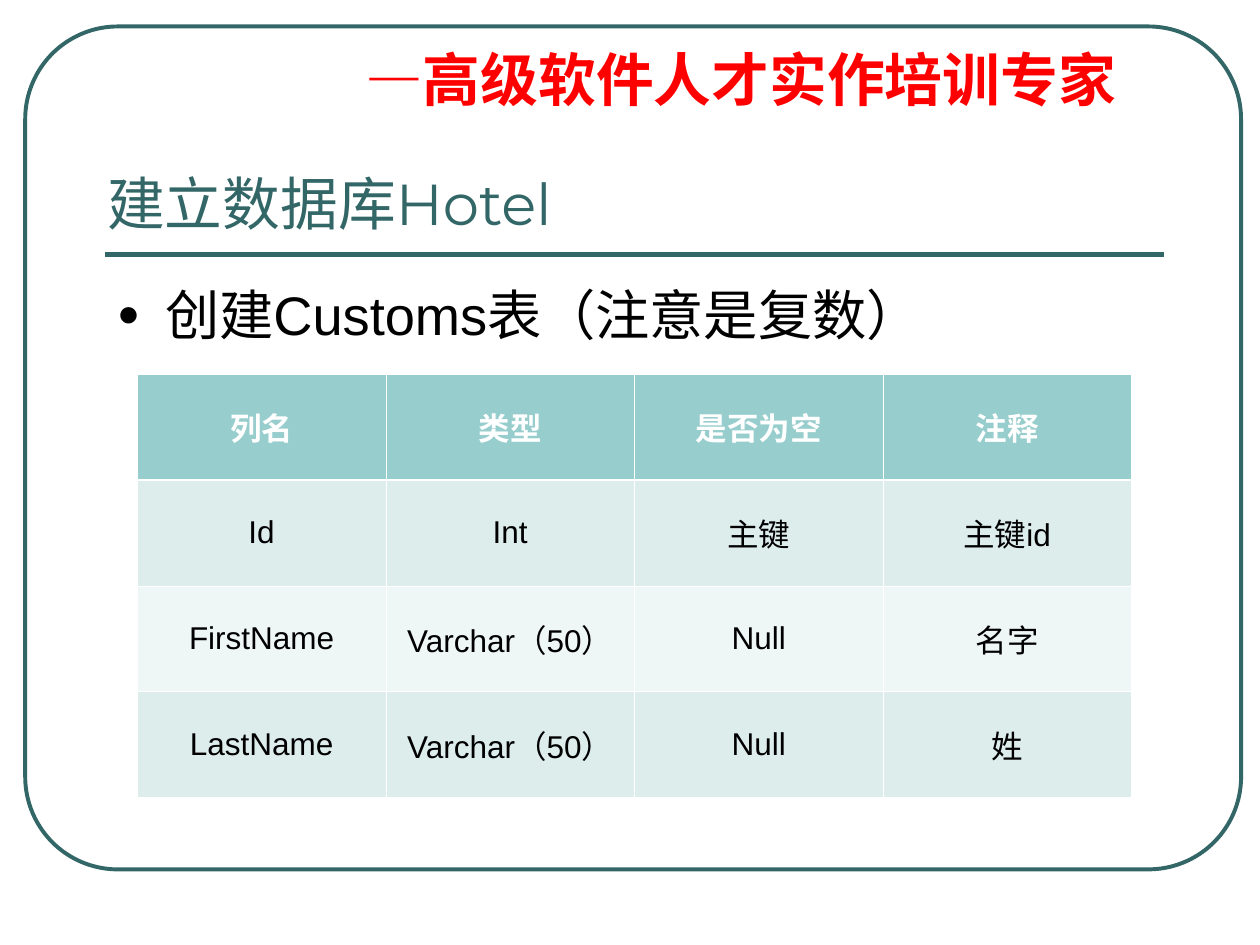
from lxml import etree
from pptx import Presentation
from pptx.dml.color import RGBColor
from pptx.enum.shapes import MSO_CONNECTOR, MSO_SHAPE
from pptx.enum.text import MSO_ANCHOR, MSO_AUTO_SIZE, PP_ALIGN
from pptx.oxml.ns import qn
from pptx.util import Inches, Pt

ROUNDED = MSO_SHAPE.ROUNDED_RECTANGLE
STRAIGHT = MSO_CONNECTOR.STRAIGHT
LEFT, CENTER = PP_ALIGN.LEFT, PP_ALIGN.CENTER
TOP, MIDDLE, BOTTOM = MSO_ANCHOR.TOP, MSO_ANCHOR.MIDDLE, MSO_ANCHOR.BOTTOM
NO_AUTOFIT = MSO_AUTO_SIZE.NONE

TEAL, RED, BLACK, WHITE = "336666", "FF0000", "000000", "FFFFFF"
HEADER_FILL, BAND_FILLS = "97CDCC", ("DDEDEC", "EFF6F6")
HEADING_FONT, BODY_FONT, CHINESE_FONT = "Montserrat", "Arial", "Noto Sans CJK SC"
COLUMNS = [
    ["列名", "类型", "是否为空", "注释"],
    ["Id", "Int", "主键", "主键id"],
    ["FirstName", "Varchar（50）", "Null", "名字"],
    ["LastName", "Varchar（50）", "Null", "姓"],
]


def color(value):
    """Turn a hex string into a colour."""
    return RGBColor.from_string(value)


def add_element(parent, tag, **attributes):
    """Append a drawing element with its attributes."""
    return etree.SubElement(parent, qn(tag), attributes)


def add_text(paragraph, text, font=BODY_FONT, size=18, fill=BLACK, bold=False, align=LEFT):
    """Add a formatted run to a paragraph."""
    paragraph.alignment = align
    run = paragraph.add_run()
    run.text = text
    run.font.size = Pt(size)
    run.font.bold = bold
    run.font.color.rgb = color(fill)
    run.font.name = font
    add_element(run.font._element, "a:ea", typeface=CHINESE_FONT)


def place(shape, box):
    """Move a shape to a box given in inches."""
    shape.left, shape.top, shape.width, shape.height = map(Inches, box)


def prepare_frame(shape, anchor):
    """Set wrapping and anchoring, and return the first paragraph."""
    frame = shape.text_frame
    frame.word_wrap = True
    frame.auto_size = NO_AUTOFIT
    frame.vertical_anchor = anchor
    return frame.paragraphs[0]


def set_indent(paragraph, indent):
    """Give a paragraph a hanging indent in inches."""
    properties = paragraph._p.get_or_add_pPr()
    properties.set("marL", str(Inches(indent)))
    properties.set("indent", str(-Inches(indent)))
    return properties


def add_frame(slide, box):
    """Draw the rounded border."""
    border = slide.shapes.add_shape(ROUNDED, *map(Inches, box))
    border.adjustments[0] = 0.11
    border.shadow.inherit = False
    border.fill.background()
    border.line.color.rgb = color(TEAL)
    border.line.width = Pt(2.25)


def add_rule(slide, left, top, width):
    """Draw the rule below the title."""
    rule = slide.shapes.add_connector(
        STRAIGHT, Inches(left), Inches(top), Inches(left + width), Inches(top))
    rule.line.color.rgb = color(TEAL)
    rule.line.width = Pt(3)
    add_element(rule._element.spPr, "a:effectLst")


def add_slogan(slide, box):
    """Write the red slogan across the top."""
    paragraph = prepare_frame(slide.shapes.add_textbox(*map(Inches, box)), TOP)
    paragraph.line_spacing = 0.9
    paragraph.space_before = Pt(8.2)
    set_indent(paragraph, 0.38)
    for text, font in (("—", HEADING_FONT), ("高级软件人才实作培训专家", CHINESE_FONT)):
        add_text(paragraph, text, font=font, size=33, fill=RED, bold=True)


def add_title(slide, box):
    """Fill the title placeholder."""
    title = slide.shapes.title
    place(title, box)
    paragraph = prepare_frame(title, BOTTOM)
    add_text(paragraph, "建立数据库Hotel", font=HEADING_FONT, size=33, fill=TEAL)


def add_body(slide, box):
    """Fill the body placeholder with its bullet."""
    body = slide.placeholders[1]
    place(body, box)
    paragraph = prepare_frame(body, TOP)
    paragraph.space_before = Pt(7.7)
    properties = set_indent(paragraph, 0.38)
    bullet_color = add_element(properties, "a:buClr")
    add_element(bullet_color, "a:srgbClr", val=BLACK)
    add_element(properties, "a:buSzPct", val="70000")
    add_element(properties, "a:buFont", typeface=BODY_FONT)
    add_element(properties, "a:buChar", char="●")
    add_text(paragraph, "创建Customs表（注意是复数）", size=31)


def set_borders(cell, **widths):
    """Draw white cell borders, with widths in points by side."""
    properties = cell._tc.get_or_add_tcPr()
    for position, side in enumerate(("L", "R", "T", "B")):
        line = etree.Element(qn(f"a:ln{side}"), w=str(Pt(widths.get(side, 0.45))))
        fill = add_element(line, "a:solidFill")
        add_element(fill, "a:srgbClr", val=WHITE)
        properties.insert(position, line)


def add_column_table(slide, box):
    """Build the table that describes the database columns."""
    rows, columns = len(COLUMNS), len(COLUMNS[0])
    table = slide.shapes.add_table(rows, columns, *map(Inches, box)).table
    for row, values in enumerate(COLUMNS):
        header = row == 0
        for column, text in enumerate(values):
            cell = table.cell(row, column)
            cell.vertical_anchor = MIDDLE
            cell.fill.solid()
            cell.fill.fore_color.rgb = color(HEADER_FILL if header else BAND_FILLS[(row - 1) % 2])
            set_borders(cell, T=1.47 if row == 1 else 0.45, B=1.47 if header else 0.45)
            add_text(cell.text_frame.paragraphs[0], text, align=CENTER,
                     fill=WHITE if header else BLACK, bold=header)


def main():
    """Build and save the slide."""
    presentation = Presentation()
    presentation.slide_width, presentation.slide_height = Inches(10), Inches(7.5)
    slide = presentation.slides.add_slide(presentation.slide_layouts[1])
    add_frame(slide, (0.2, 0.21, 9.65, 6.69))
    add_rule(slide, 0.83, 2.02, 8.41)
    add_slogan(slide, (2.8, 0.36, 6.3, 0.6))
    add_title(slide, (0.75, 0.36, 8.42, 1.57))
    add_body(slide, (0.83, 2.18, 8.42, 4.48))
    add_column_table(slide, (1.09, 2.97, 7.89, 3.36))
    presentation.save("out.pptx")


if __name__ == "__main__":
    main()
